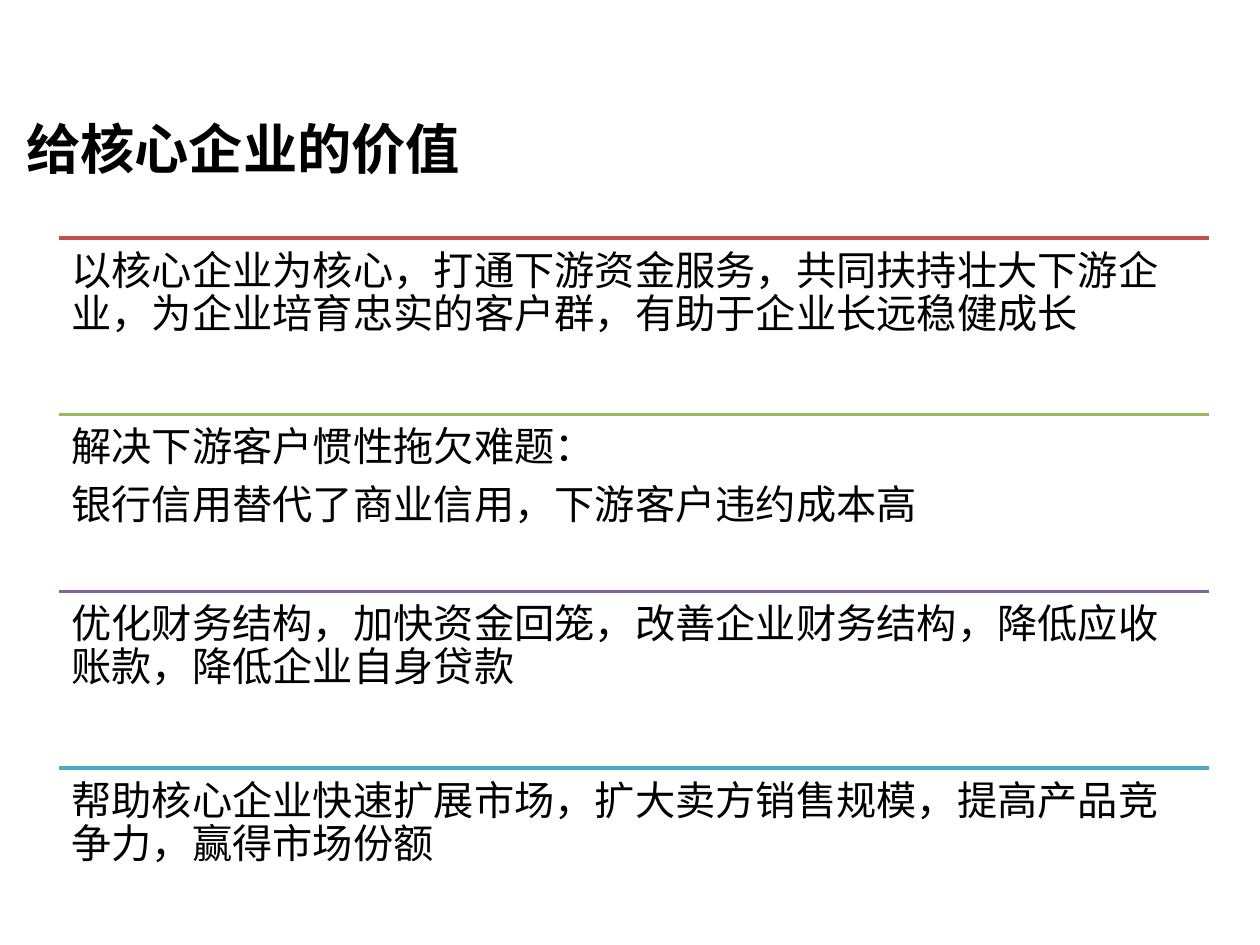
from lxml import etree
from pptx import Presentation
from pptx.dml.color import RGBColor
from pptx.enum.shapes import MSO_CONNECTOR
from pptx.enum.text import MSO_ANCHOR
from pptx.oxml.ns import qn
from pptx.util import Cm, Pt

STRAIGHT = MSO_CONNECTOR.STRAIGHT
MIDDLE, TOP = MSO_ANCHOR.MIDDLE, MSO_ANCHOR.TOP

TITLE = "给核心企业的价值"
BENEFITS = [
    ("red", ["以核心企业为核心，打通下游资金服务，共同扶持壮大下游企业，为企业培育忠实的客户群，有助于企业长远稳健成长"]),
    ("green", ["解决下游客户惯性拖欠难题：", "银行信用替代了商业信用，下游客户违约成本高"]),
    ("purple", ["优化财务结构，加快资金回笼，改善企业财务结构，降低应收账款，降低企业自身贷款"]),
    ("teal", ["帮助核心企业快速扩展市场，扩大卖方销售规模，提高产品竞争力，赢得市场份额"]),
]
COLORS = {
    "text": "000000",
    "red": "C0504D",
    "green": "9BBB59",
    "purple": "8064A2",
    "teal": "4BACC6",
}
CJK_FONT, BODY_FONT = "Noto Sans CJK SC", "Calibri"
LEFT, FIRST_TOP, WIDTH, ROW_HEIGHT = 1.19, 4.8, 23.19, 3.56


def add_text(slide, box, lines, font, size, bold=False, anchor=TOP):
    sp = slide.shapes.add_textbox(*(Cm(v) for v in box))
    tf = sp.text_frame
    tf.text = "\n".join(lines)
    tf.word_wrap = True
    tf.vertical_anchor = anchor
    for p in tf.paragraphs:
        for r in p.runs:
            r.font.name = font
            r.font.size = Pt(size)
            r.font.bold = bold
            r.font.color.rgb = RGBColor.from_string(COLORS["text"])
            ea = etree.SubElement(r.font._element, qn("a:ea"))
            ea.set("typeface", CJK_FONT)
    return tf


def add_rule(slide, top, color):
    line = slide.shapes.add_connector(
        STRAIGHT, Cm(LEFT), Cm(top), Cm(LEFT + WIDTH), Cm(top))
    line.line.color.rgb = RGBColor.from_string(color)
    line.line.width = Pt(2)
    etree.SubElement(line._element.spPr, qn("a:effectLst"))


def add_benefit(slide, top, color, lines):
    add_rule(slide, top, color)
    tf = add_text(slide, (LEFT, top, WIDTH, ROW_HEIGHT), lines, BODY_FONT, 23)
    tf.margin_left = tf.margin_right = Cm(0.25)
    tf.margin_top = tf.margin_bottom = Cm(0.25)
    for p in tf.paragraphs:
        p.line_spacing = 0.9
        p.space_after = Pt(8)


def main():
    prs = Presentation()
    prs.slide_width, prs.slide_height = Cm(25.4), Cm(19.05)
    slide = prs.slides.add_slide(prs.slide_layouts[6])
    add_text(slide, (0.28, 2.16, 21.95, 1.63), [TITLE], CJK_FONT, 31,
             bold=True, anchor=MIDDLE)
    for i, (color, lines) in enumerate(BENEFITS):
        add_benefit(slide, FIRST_TOP + i * ROW_HEIGHT, COLORS[color], lines)
    prs.save("out.pptx")


if __name__ == "__main__":
    main()
